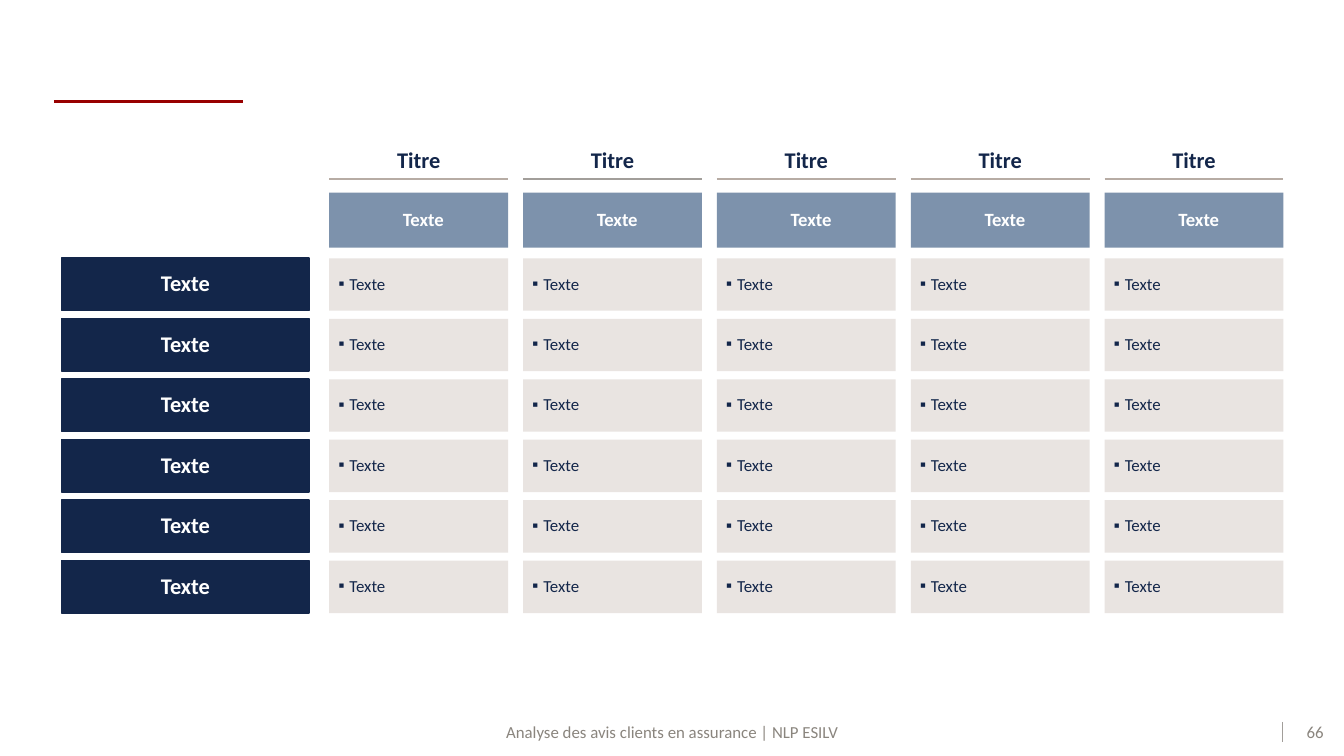
from lxml.etree import SubElement
from pptx import Presentation
from pptx.dml.color import RGBColor
from pptx.enum.shapes import MSO_CONNECTOR, MSO_SHAPE
from pptx.enum.text import MSO_ANCHOR as Anchor, PP_ALIGN as Align
from pptx.oxml.ns import qn
from pptx.util import Pt

NAVY = RGBColor(0x13, 0x26, 0x4A)
STEEL = RGBColor(0x7D, 0x92, 0xAC)
SAND = RGBColor(0xE9, 0xE4, 0xE1)
TAUPE = RGBColor(0xB7, 0xAC, 0xA4)
GREY = RGBColor(0xA2, 0x9E, 0x9A)
FOOTER_GREY = RGBColor(0x8A, 0x85, 0x7E)
RED = RGBColor(0x98, 0x00, 0x00)
WHITE = RGBColor(0xFF, 0xFF, 0xFF)

FONT = "Calibri"
HEADING = {"size": Pt(12), "bold": True, "color": NAVY}
ROW_LABEL = {"size": Pt(12), "bold": True, "color": WHITE}
SUBHEADING = {"size": Pt(10), "bold": True, "color": WHITE}
ENTRY = {"size": Pt(9), "bold": False, "color": NAVY}
FOOTER = {"size": Pt(9), "bold": False, "color": FOOTER_GREY}

COLUMN_RULES = [TAUPE, GREY, TAUPE, TAUPE, TAUPE]
COLUMN_WIDTH, COLUMN_PITCH = 95.8, 103.85
ROW_COUNT, ROW_HEIGHT, ROW_PITCH = 6, 28.1, 32.4
BULLET_INDENT = Pt(5.8)


def add_bullet(paragraph, color):
    properties = paragraph._p.get_or_add_pPr()
    properties.set("marL", str(BULLET_INDENT))
    properties.set("indent", str(-BULLET_INDENT))
    bullet_color = SubElement(properties, qn("a:buClr"))
    SubElement(bullet_color, qn("a:srgbClr"), val=str(color))
    SubElement(properties, qn("a:buFont"), typeface=FONT)
    SubElement(properties, qn("a:buChar"), char="▪")


def write_text(shape, text, style, margins=(0, 0, 0, 0), anchor=Anchor.MIDDLE,
               bulleted=False):
    frame = shape.text_frame
    left, top, right, bottom = (Pt(margin) for margin in margins)
    frame_format = {"word_wrap": True, "vertical_anchor": anchor,
                    "margin_left": left, "margin_top": top,
                    "margin_right": right, "margin_bottom": bottom}
    for name, value in frame_format.items():
        setattr(frame, name, value)

    paragraph = frame.paragraphs[0]
    paragraph.text = text
    paragraph.alignment = Align.LEFT if bulleted else Align.CENTER
    paragraph.line_spacing = 0.9
    if bulleted:
        add_bullet(paragraph, style["color"])
    font_format = {"name": FONT, "size": style["size"], "bold": style["bold"]}
    for name, value in font_format.items():
        setattr(paragraph.font, name, value)
    paragraph.font.color.rgb = style["color"]


def add_text(slide, box, text, style, **options):
    shape = slide.shapes.add_textbox(*(Pt(length) for length in box))
    write_text(shape, text, style, **options)


def add_cell(slide, box, fill, text, style, outlined=False, **options):
    shape = slide.shapes.add_shape(MSO_SHAPE.RECTANGLE,
                                   *(Pt(length) for length in box))
    shape.shadow.inherit = False
    shape.fill.solid()
    shape.fill.fore_color.rgb = fill
    if outlined:
        shape.line.color.rgb = fill
        shape.line.width = Pt(0.75)
    else:
        shape.line.fill.background()
    write_text(shape, text, style, **options)


def add_rule(slide, start, end, color, width):
    rule = slide.shapes.add_connector(
        MSO_CONNECTOR.STRAIGHT, *(Pt(length) for length in (*start, *end)))
    rule.line.color.rgb = color
    rule.line.width = Pt(width)
    SubElement(rule._element.spPr, qn("a:effectLst"))


def add_footer(slide, box):
    left, top, width, height = box
    margins = (2.2, 2.2, 2.2, 2.2)
    number_width = 20.9
    number_left = left + width - number_width
    add_text(slide, (left, top, 249.1, height),
             "Analyse des avis clients en assurance | NLP ESILV", FOOTER,
             margins=margins)
    add_rule(slide, (number_left - 7.2, top + 1.5),
             (number_left - 7.2, top + 12.3), GREY, 0.75)
    add_text(slide, (number_left, top, number_width, height), "66", FOOTER,
             margins=margins)


def add_row_labels(slide, box):
    left, top, width, height = box
    for row in range(ROW_COUNT):
        add_cell(slide, (left, top + row * ROW_PITCH, width, height), NAVY,
                 "Texte", ROW_LABEL, outlined=True)


def add_column(slide, box, rule_color):
    left, top, width, height = box
    margins = (5, 0, 0, 0)
    # Heading with its rule
    add_text(slide, (left, top, width, 18), "Titre", HEADING,
             margins=(0, 0, 0, 2.2), anchor=Anchor.BOTTOM)
    add_rule(slide, (left, top + 18.7), (left + width, top + 18.7),
             rule_color, 1.5)
    # Subheading
    add_cell(slide, (left, top + 26, width, 29.5), STEEL, "Texte", SUBHEADING,
             margins=margins)
    # Entries, aligned to the bottom of the column
    first_top = top + height - (ROW_COUNT - 1) * ROW_PITCH - ROW_HEIGHT
    for row in range(ROW_COUNT):
        add_cell(slide, (left, first_top + row * ROW_PITCH, width, ROW_HEIGHT),
                 SAND, "Texte", ENTRY, margins=margins, bulleted=True)


def main():
    presentation = Presentation()
    presentation.slide_width = Pt(720)
    presentation.slide_height = Pt(405)
    slide = presentation.slides.add_slide(presentation.slide_layouts[6])

    # Page furniture
    add_footer(slide, (235.4, 385.2, 479.6, 15.1))
    add_rule(slide, (28.8, 54.4), (130.3, 54.4), RED, 1.25)

    # Matrix
    for index, rule_color in enumerate(COLUMN_RULES):
        add_column(slide, (176.4 + index * COLUMN_PITCH, 77.2,
                           COLUMN_WIDTH, 251.3), rule_color)
    add_row_labels(slide, (33.1, 138.3, 132.5, ROW_HEIGHT))

    presentation.save("out.pptx")


if __name__ == "__main__":
    main()
